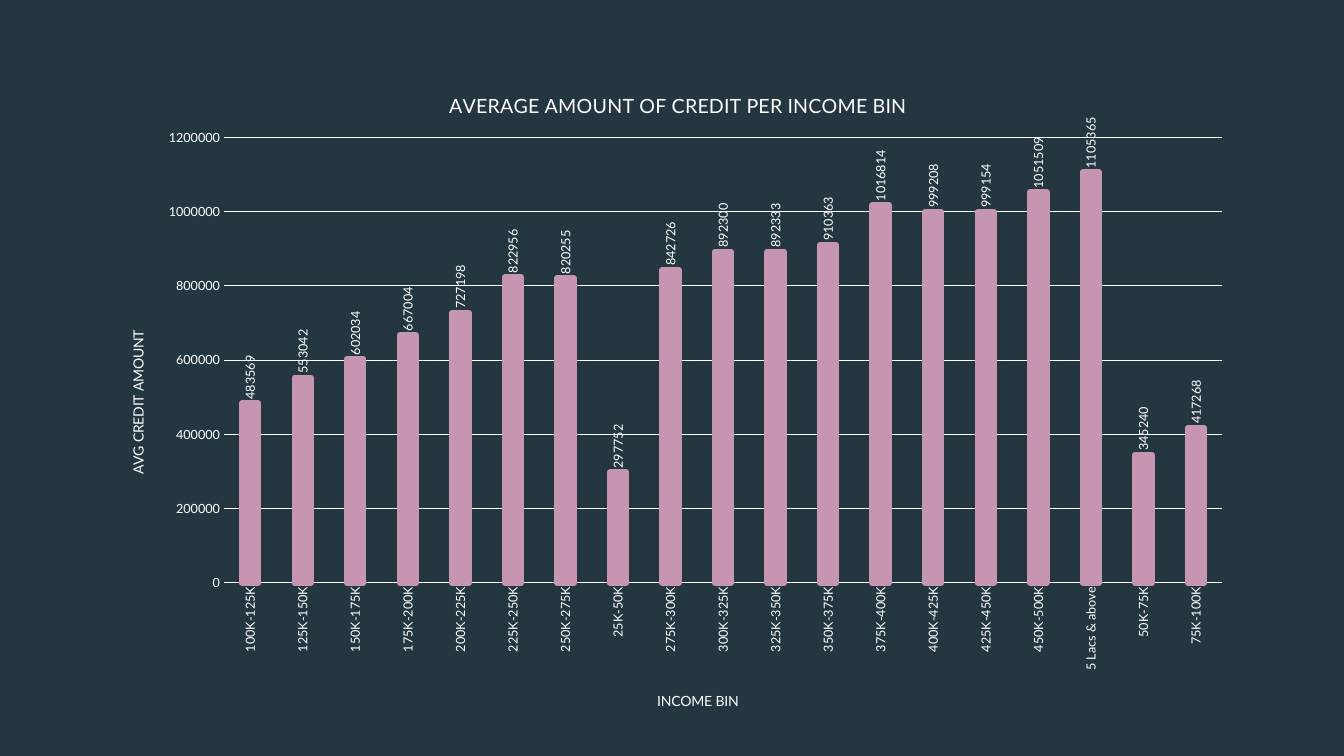
from lxml.etree import SubElement
from pptx import Presentation
from pptx.chart.data import CategoryChartData
from pptx.dml.color import RGBColor
from pptx.enum.chart import XL_CHART_TYPE, XL_LABEL_POSITION, XL_TICK_MARK
from pptx.oxml import parse_xml
from pptx.oxml.ns import nsdecls, qn
from pptx.util import Inches, Pt

NAVY, PINK, WHITE = "243741", "C696B1", "FFFFFF"
FONT = "Lato"
AVERAGE_CREDIT = {
    "100K-125K": 483569, "125K-150K": 553042, "150K-175K": 602034,
    "175K-200K": 667004, "200K-225K": 727198, "225K-250K": 822956,
    "250K-275K": 820255, "25K-50K": 297752, "275K-300K": 842726,
    "300K-325K": 892300, "325K-350K": 892333, "350K-375K": 910363,
    "375K-400K": 1016814, "400K-425K": 999208, "425K-450K": 999154,
    "450K-500K": 1051509, "5 Lacs & above": 1105365, "50K-75K": 345240,
    "75K-100K": 417268,
}


def color(hex_code):
    """Turn a hex string into a colour."""
    return RGBColor.from_string(hex_code)


def apply(target, values):
    """Set each named attribute on the target."""
    for name, value in values.items():
        setattr(target, name, value)


def style_font(font, size):
    """Give a font the slide's typeface and white colour."""
    apply(font, {"name": FONT, "size": Pt(size), "bold": False})
    font.color.rgb = color(WHITE)


def style_line(line, hex_code, width):
    """Give a line its colour and width in points."""
    line.color.rgb = color(hex_code)
    line.width = Pt(width)


def find_part(parent, tag):
    """Return the first chart element with the given tag."""
    return next(parent.iter(qn(tag)))


def turn_upright(element):
    """Rotate the text of a chart part to read upwards."""
    body = find_part(element, "a:bodyPr")
    body.set("rot", "-5400000")
    body.set("vert", "horz")


def place(element, index, inner=False, **fractions):
    """Fix a chart part at fractions of the chart's box."""
    for old in element.findall(qn("c:layout")):
        element.remove(old)
    target = '<c:layoutTarget val="inner"/>' if inner else ""
    modes = "".join(f'<c:{key}Mode val="edge"/>' for key in "xy")
    sizes = "".join(f'<c:{key} val="{value}"/>' for key, value in fractions.items())
    element.insert(index, parse_xml(
        f'<c:layout {nsdecls("c")}><c:manualLayout>{target}{modes}{sizes}'
        "</c:manualLayout></c:layout>"))


def add_title(title, text, size, x, y):
    """Write and place the title of a chart or an axis."""
    run = title.text_frame.paragraphs[0].add_run()
    run.text = text
    style_font(run.font, size)
    place(title.element, 1, x=x, y=y)


def style_axes(chart):
    """Format the income and credit axes."""
    income, credit = chart.category_axis, chart.value_axis
    for axis in (income, credit):
        apply(axis, {"major_tick_mark": XL_TICK_MARK.NONE,
                     "minor_tick_mark": XL_TICK_MARK.NONE})
        style_font(axis.tick_labels.font, 9)
    apply(credit, {"minimum_scale": 0, "maximum_scale": 1200000,
                   "major_unit": 200000, "has_major_gridlines": True})
    style_line(income.format.line, WHITE, 0.75)
    style_line(credit.major_gridlines.format.line, WHITE, 0.75)
    credit.format.line.fill.background()
    turn_upright(find_part(chart.element, "c:catAx").find(qn("c:txPr")))
    add_title(income.axis_title, "INCOME BIN", 10, 0.483, 0.943)
    add_title(credit.axis_title, "AVG CREDIT AMOUNT", 10, 0.02, 0.4)
    turn_upright(credit.axis_title.element)


def style_bars(chart):
    """Format the bars and their upright value labels."""
    plot = chart.plots[0]
    apply(plot, {"gap_width": 219, "overlap": -27, "vary_by_categories": False})
    bars = plot.series[0]
    bars.format.fill.solid()
    bars.format.fill.fore_color.rgb = color(PINK)
    style_line(bars.format.line, PINK, 4.25)
    labels = bars.data_labels
    apply(labels, {"show_value": True, "position": XL_LABEL_POSITION.OUTSIDE_END})
    style_font(labels.font, 9)
    series = find_part(chart.element, "c:ser")
    SubElement(find_part(series, "a:ln"), qn("a:round"))
    turn_upright(find_part(series, "c:dLbls"))


def add_credit_chart(slide, left, top, width, height):
    """Draw the average credit chart in the given box."""
    data = CategoryChartData(number_format="General")
    data.categories = list(AVERAGE_CREDIT)
    data.add_series("Series 1", list(AVERAGE_CREDIT.values()))
    chart = slide.shapes.add_chart(
        XL_CHART_TYPE.COLUMN_CLUSTERED, Inches(left), Inches(top),
        Inches(width), Inches(height), data).chart
    apply(chart, {"has_legend": False, "has_title": True})
    style_font(chart.font, 10)
    add_title(chart.chart_title, "AVERAGE AMOUNT OF CREDIT PER INCOME BIN",
              14, 0.3, 0.04)
    style_axes(chart)
    style_bars(chart)
    place(find_part(chart.element, "c:plotArea"), 0, inner=True,
          x=0.106, y=0.114, w=0.874, h=0.67)


def main():
    """Build and save the slide."""
    deck = Presentation()
    apply(deck, {"slide_width": Inches(13.33), "slide_height": Inches(7.5)})
    slide = deck.slides.add_slide(deck.slide_layouts[6])
    slide.background.fill.solid()
    slide.background.fill.fore_color.rgb = color(NAVY)
    add_credit_chart(slide, 1.02, 0.61, 11.33, 6.6)
    deck.save("out.pptx")


if __name__ == "__main__":
    main()
